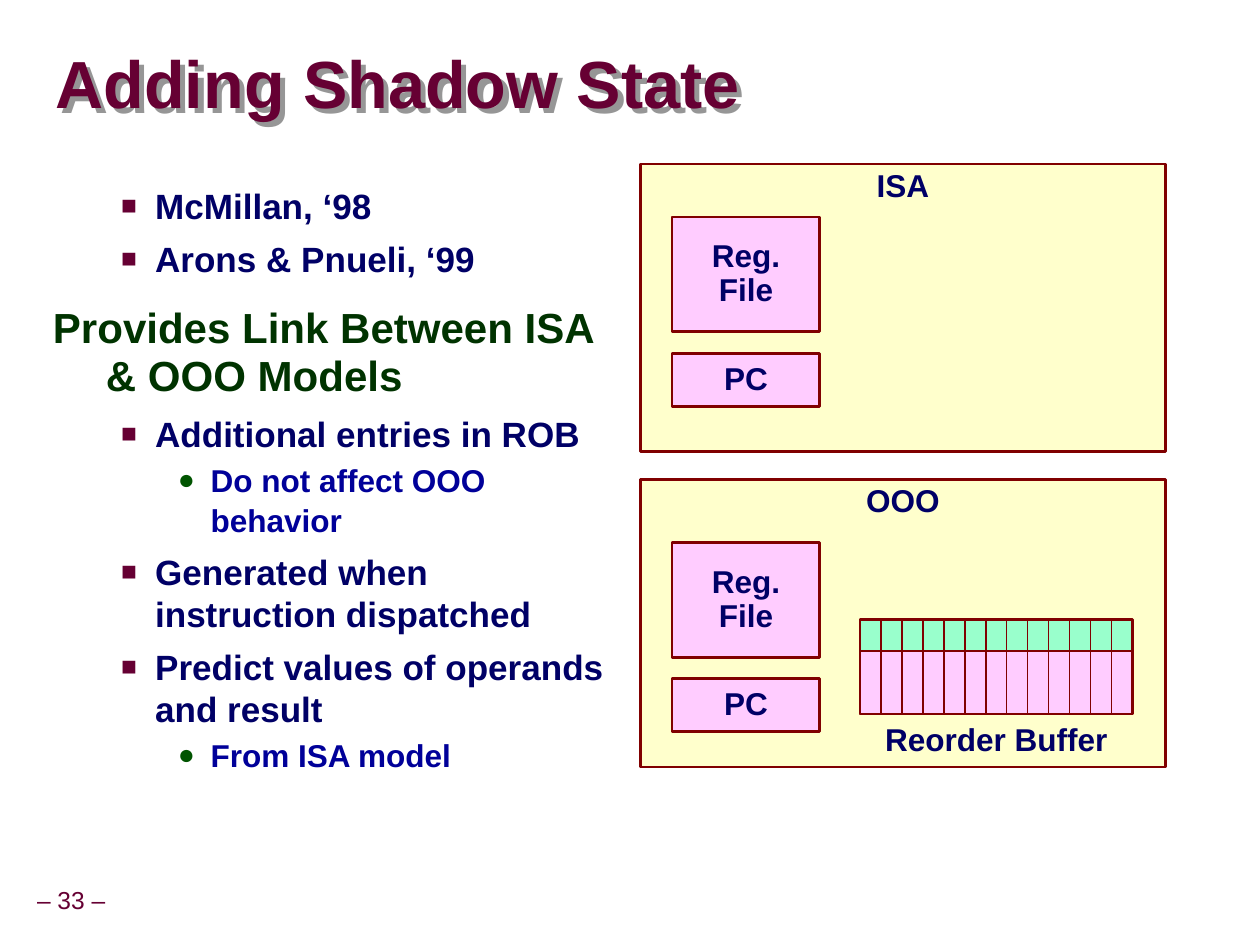
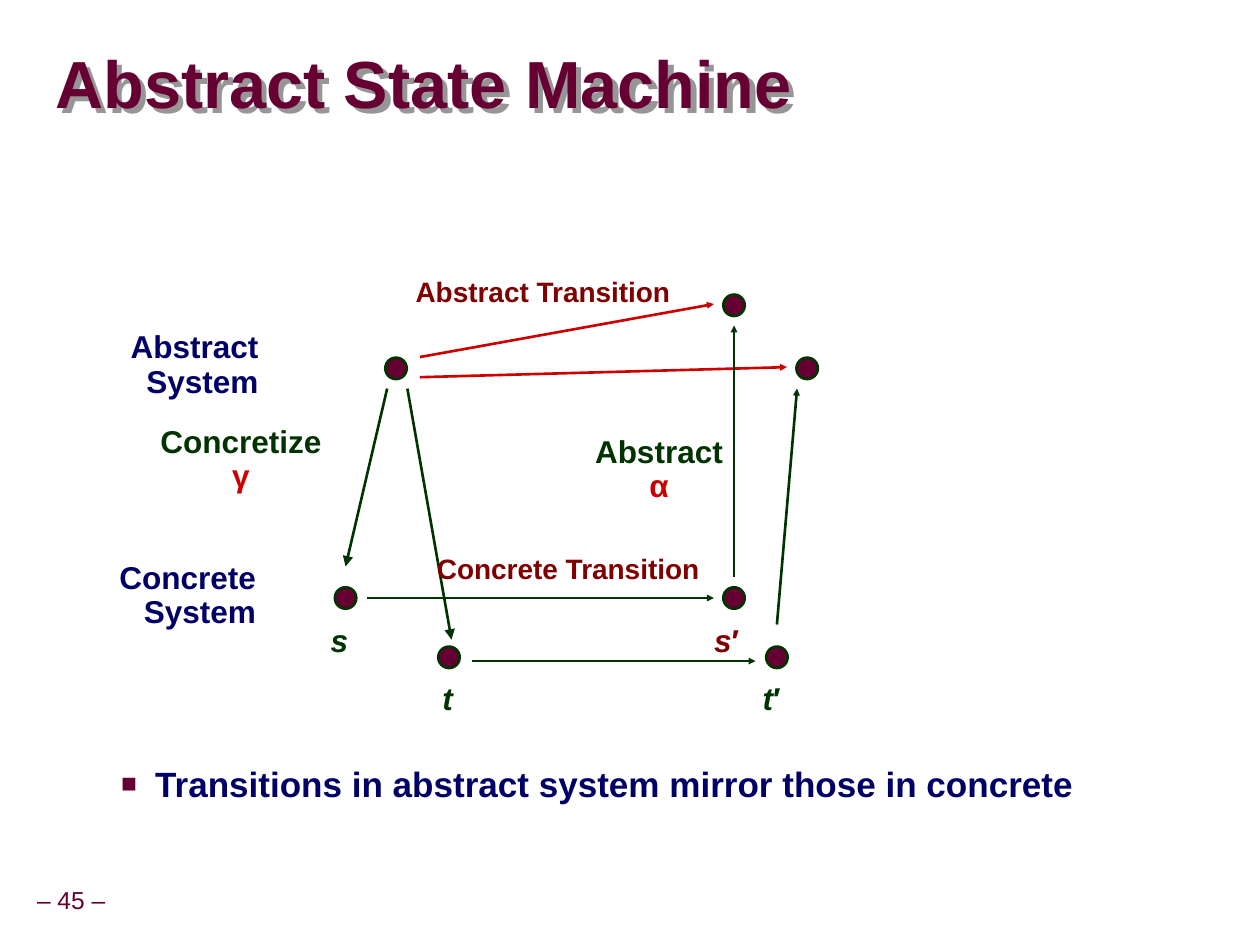
from dataclasses import dataclass

from lxml import etree
from pptx import Presentation
from pptx import util as u
from pptx.dml.color import RGBColor
from pptx.enum import shapes, text
from pptx.oxml import ns


class Theme:
    """Colours, type sizes and list styles used by every slide."""
    font = "Arial"
    plum, navy, blue = "660033", "000066", "000099"
    forest, leaf = "003300", "005400"
    maroon, red, grey = "800000", "CC0000", "969696"
    cream, pink, mint = "FFFFCC", "FFCCFF", "99FFCC"
    title, label, caption, footer = 38, 18, 16, 14
    rule, hairline = 1.5, 0.75
    inset, tight = 0.05, 0.9
    # One entry per list level; indents are in inches
    levels = (
        dict(size=24, color=forest, margin=0.42, hang=0.42, spacing=0.95,
             before=15, bullet=None),
        dict(size=20, color=navy, margin=0.81, hang=0.27, spacing=1.0,
             before=6.2, bullet=("■", plum, 75)),
        dict(size=18, color=blue, margin=1.25, hang=0.26, spacing=1.07,
             before=2.2, bullet=("●", leaf, 90)),
    )


LEFT, CENTER, RIGHT = (text.PP_ALIGN.LEFT, text.PP_ALIGN.CENTER,
                       text.PP_ALIGN.RIGHT)
TOP, MIDDLE = text.MSO_ANCHOR.TOP, text.MSO_ANCHOR.MIDDLE
RECTANGLE, OVAL = shapes.MSO_SHAPE.RECTANGLE, shapes.MSO_SHAPE.OVAL
UNIT = 0.1  # side of one grid cell, in inches


@dataclass
class Box:
    """A region in inches; its parts are given in columns and rows."""
    left: float
    top: float
    width: float
    height: float

    def area(self, column, row, columns, rows):
        return Box(self.left + column * UNIT, self.top + row * UNIT,
                   columns * UNIT, rows * UNIT)

    def point(self, column, row):
        return (u.Inches(self.left + column * UNIT),
                u.Inches(self.top + row * UNIT))

    def lengths(self):
        return [u.Inches(value) for value in
                (self.left, self.top, self.width, self.height)]


PAGE = Box(0, 0, 9.99, 7.49)


# Formatting helpers

def apply(target, **values):
    for name, value in values.items():
        setattr(target, name, value)


def child(parent, tag, **attributes):
    return etree.SubElement(parent, ns.qn(tag), attributes)


def set_frame(frame, anchor, sides, ends, wrap):
    apply(frame, vertical_anchor=anchor, word_wrap=wrap,
          auto_size=text.MSO_AUTO_SIZE.NONE,
          margin_left=u.Inches(sides), margin_right=u.Inches(sides),
          margin_top=u.Inches(ends), margin_bottom=u.Inches(ends))


def add_run(paragraph, words, size, color, bold=True, italic=False):
    run = paragraph.add_run()
    run.text = words
    apply(run.font, name=Theme.font, size=u.Pt(size), bold=bold, italic=italic)
    run.font.color.rgb = RGBColor.from_string(color)


def add_paragraphs(frame, count):
    return [frame.paragraphs[0]] + [frame.add_paragraph()
                                    for _ in range(count - 1)]


def write_label(frame, lines, size=Theme.label, color=Theme.navy, align=CENTER,
                anchor=TOP, bold=True):
    """Each line is a string or a list of (words, format) runs."""
    set_frame(frame, anchor, Theme.inset, Theme.inset, False)
    for paragraph, line in zip(add_paragraphs(frame, len(lines)), lines):
        apply(paragraph, alignment=align, line_spacing=Theme.tight)
        for words, extra in [(line, {})] if isinstance(line, str) else line:
            add_run(paragraph, words,
                    **{"size": size, "color": color, "bold": bold, **extra})


def add_label(parent, box, lines, **style):
    label = parent.add_textbox(*box.lengths())
    write_label(label.text_frame, lines, **style)


def add_block(parent, box, fill=None, line=Theme.maroon, weight=Theme.rule,
              kind=RECTANGLE):
    block = parent.add_shape(kind, *box.lengths())
    block.shadow.inherit = False
    if fill:
        block.fill.solid()
        block.fill.fore_color.rgb = RGBColor.from_string(fill)
    else:
        block.fill.background()
    block.line.color.rgb = RGBColor.from_string(line)
    block.line.width = u.Pt(weight)
    return block


def add_arrow(parent, start, end, color, head):
    arrow = parent.add_connector(shapes.MSO_CONNECTOR.STRAIGHT, *start, *end)
    arrow.line.color.rgb = RGBColor.from_string(color)
    arrow.line.width = u.Pt(Theme.rule)
    properties = arrow._element.spPr
    child(properties.find(ns.qn("a:ln")), "a:tailEnd", type="triangle",
          w=head, len=head)
    child(properties, "a:effectLst")


# Shared slide parts

def place(placeholder, box):
    left, top, width, height = box.lengths()
    apply(placeholder, left=left, top=top, width=width, height=height)


def write_title(title, box, words):
    place(title, box)
    set_frame(title.text_frame, MIDDLE, 0, 0, True)
    paragraph = title.text_frame.paragraphs[0]
    apply(paragraph, alignment=LEFT, line_spacing=0.87)
    add_run(paragraph, words, Theme.title, Theme.plum)
    effects = child(title._element.spPr, "a:effectLst")
    shadow = child(effects, "a:outerShdw", blurRad="0",
                   dist=str(u.Inches(0.06)), dir="2700000", algn="ctr",
                   rotWithShape="0")
    child(shadow, "a:srgbClr", val=Theme.grey)


def write_list(body, box, items):
    place(body, box)
    set_frame(body.text_frame, TOP, 0.1, 0.05, True)
    paragraphs = add_paragraphs(body.text_frame, len(items))
    for index, (paragraph, (level, words)) in enumerate(zip(paragraphs, items)):
        style = Theme.levels[level]
        properties = paragraph._p.get_or_add_pPr()
        properties.set("marL", str(u.Inches(style["margin"])))
        properties.set("indent", str(-u.Inches(style["hang"])))
        if style["bullet"]:
            symbol, color, percent = style["bullet"]
            child(child(properties, "a:buClr"), "a:srgbClr", val=color)
            child(properties, "a:buSzPct", val=str(percent * 1000))
            child(properties, "a:buFont", typeface=Theme.font)
            child(properties, "a:buChar", char=symbol)
        else:
            child(properties, "a:buNone")
        apply(paragraph, level=level, alignment=LEFT,
              line_spacing=style["spacing"], space_after=u.Pt(0),
              space_before=u.Pt(style["before"] if index else 0))
        add_run(paragraph, words, style["size"], style["color"])


def add_slide(presentation, title, number, list_box, items):
    slide = presentation.slides.add_slide(presentation.slide_layouts[1])
    write_title(slide.shapes.title, PAGE.area(4.4, 2.7, 95.2, 8.5), title)
    write_list(slide.placeholders[1], list_box, items)
    add_label(slide.shapes, PAGE.area(-0.9, 69.9, 13.1, 3.1),
              [f"– {number} –"], size=Theme.footer, color=Theme.plum,
              anchor=MIDDLE, bold=False)
    return slide


# Processor models

def add_model(parent, box, name, file_row):
    panel = add_block(parent, box, Theme.cream)
    write_label(panel.text_frame, [name])
    for row, rows, lines in ((file_row, 9.1, ["Reg.", "File"]),
                             (file_row + 10.8, 4.2, ["PC"])):
        block = add_block(parent, box.area(2.5, row, 11.7, rows), Theme.pink)
        write_label(block.text_frame, lines, anchor=MIDDLE)


def add_buffer(parent, box, entries=13):
    """A shadow strip above a strip of buffer entries, and the name below."""
    columns = 21.6
    pitch = columns / entries
    for row, rows, fill in ((2.5, 5, Theme.pink), (0, 2.5, Theme.mint)):
        strip = parent.add_group_shape().shapes
        add_block(strip, box.area(0, row, columns, rows), fill)
        for entry in range(entries - 1):
            add_block(strip, box.area(entry * pitch, row, pitch, rows),
                      weight=Theme.hairline)
    add_label(parent, box.area(1.5, 7.8, 18.6, 3.7), ["Reorder Buffer"])


def build_shadow_state(presentation):
    slide = add_slide(
        presentation, "Adding Shadow State", 33,
        PAGE.area(3.2, 14.1, 45.9, 56.2),
        [(1, "McMillan, ‘98"),
         (1, "Arons & Pnueli, ‘99"),
         (0, "Provides Link Between ISA & OOO Models"),
         (1, "Additional entries in ROB"),
         (2, "Do not affect OOO behavior"),
         (1, "Generated when instruction dispatched"),
         (1, "Predict values of operands and result"),
         (2, "From ISA model")])
    add_model(slide.shapes, PAGE.area(50.8, 13, 41.6, 22.8), "ISA", 4.2)
    pipeline = PAGE.area(50.8, 38, 41.6, 22.8)
    add_model(slide.shapes, pipeline, "OOO", 5)
    add_buffer(slide.shapes, pipeline.area(17.4, 11.1, 21.6, 11.5))


# State machine diagram

def add_state_machine(parent, box):
    # States, by centre
    size = 1.7
    for column, row in ((22.4, 8.2), (49.2, 3.2), (55, 8.2), (18.4, 26.4),
                        (26.6, 31.1), (49.2, 26.4), (52.6, 31.1)):
        add_block(parent,
                  box.area(column - size / 2, row - size / 2, size, size),
                  Theme.plum, Theme.forest, kind=OVAL)

    # Arrows: abstract steps, concretize, concrete steps, abstract
    for start, end, color, head in (
            ((24.3, 7.3), (47.6, 3.1), Theme.red, "sm"),
            ((24.3, 8.9), (53.4, 8.1), Theme.red, "sm"),
            ((21.7, 9.8), (18.4, 23.9), Theme.forest, "med"),
            ((23.3, 9.8), (26.8, 29.7), Theme.forest, "med"),
            ((20.1, 26.4), (47.6, 26.4), Theme.forest, "sm"),
            ((28.4, 31.4), (50.9, 31.4), Theme.forest, "sm"),
            ((49.2, 24.7), (49.2, 4.8), Theme.forest, "sm"),
            ((52.6, 28.5), (54.2, 9.8), Theme.forest, "sm")):
        add_arrow(parent, box.point(*start), box.point(*end), color, head)

    # Systems, mappings and transitions
    system = dict(align=RIGHT)
    mapping = dict(color=Theme.forest)
    transition = dict(color=Theme.maroon, size=Theme.caption)
    greek = dict(color=Theme.red)
    for cell, lines, style in (
            ((0.9, 4.8, 11.1, 6.4), ["Abstract", "System"], system),
            ((0, 23.1, 11.8, 6.4), ["Concrete", "System"], system),
            ((3.2, 12.3, 13.8, 6.4), ["Concretize", [("γ", greek)]], mapping),
            ((37.7, 13.1, 11.1, 6.4), ["Abstract", [("α", greek)]], mapping),
            ((23.4, 0.6, 21.3, 3.4), ["Abstract Transition"], transition),
            ((25.1, 22.5, 21.9, 3.4), ["Concrete Transition"], transition)):
        add_label(parent, box.area(*cell), lines, **style)

    # State names; a prime stays upright
    for cell, name, prime, color in (
            ((16.7, 28.1, 2.4, 3.7), "s", "", Theme.forest),
            ((25.6, 32.7, 1.8, 3.7), "t", "", Theme.forest),
            ((46.9, 28.1, 3.2, 3.7), "s", "′", Theme.maroon),
            ((50.7, 32.7, 2.7, 3.7), "t", "′", Theme.forest)):
        runs = [(name, dict(italic=True))] + ([(prime, {})] if prime else [])
        add_label(parent, box.area(*cell), [runs], color=color, align=RIGHT)


def build_state_machine(presentation):
    slide = add_slide(
        presentation, "Abstract State Machine", 45,
        PAGE.area(3.2, 59.9, 90.7, 10.5),
        [(1, "Transitions in abstract system mirror those in concrete")])
    add_state_machine(slide.shapes, PAGE.area(9, 21, 56, 37))


def main():
    presentation = Presentation()
    apply(presentation, slide_width=u.Inches(PAGE.width),
          slide_height=u.Inches(PAGE.height))
    build_shadow_state(presentation)
    build_state_machine(presentation)
    presentation.save("out.pptx")


if __name__ == "__main__":
    main()
